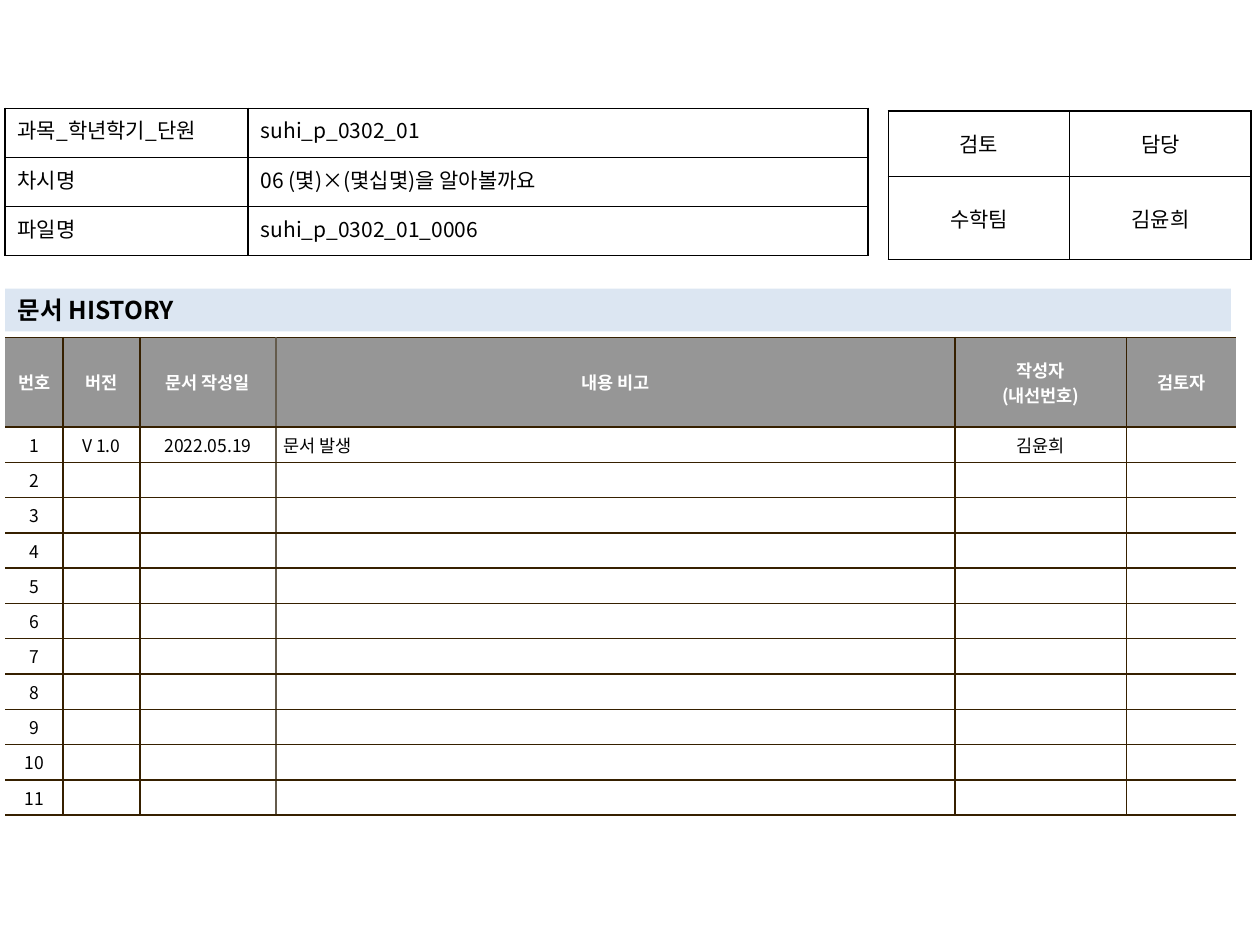
from dataclasses import dataclass

from lxml import etree
from pptx import Presentation
from pptx.dml.color import RGBColor
from pptx.enum.text import MSO_ANCHOR, MSO_AUTO_SIZE, PP_ALIGN
from pptx.oxml.ns import qn
from pptx.util import Inches, Pt

LEFT, CENTER, JUSTIFY = PP_ALIGN.LEFT, PP_ALIGN.CENTER, PP_ALIGN.JUSTIFY
TOP, MIDDLE = MSO_ANCHOR.TOP, MSO_ANCHOR.MIDDLE
NO_FIT = MSO_AUTO_SIZE.NONE
TITLE_ONLY = 5


@dataclass(frozen=True)
class Theme:
    """Colours, font and type sizes of the page."""
    font: str = "Noto Sans CJK KR"
    black: str = "000000"
    white: str = "FFFFFF"
    header: str = "969696"
    band: str = "DCE6F2"
    rule: str = "362000"
    soft_rule: str = "645B4C"
    heading_size: int = 14
    info_size: int = 12
    history_size: int = 10


THEME = Theme()


def format_para(para, size, color, align, bold=False):
    """Set the alignment and font of a whole paragraph."""
    para.alignment = align
    font = para.font
    font.name, font.size, font.bold = THEME.font, Pt(size), bold
    font.color.rgb = RGBColor.from_string(color)
    defaults = para._p.pPr.find(qn("a:defRPr"))
    etree.SubElement(defaults, qn("a:ea"), typeface=THEME.font)
    if not para.runs:
        etree.SubElement(para._p, qn("a:endParaRPr"), sz=str(size * 100))


def set_borders(cell, left, right, top, bottom):
    """Draw one-point cell borders, or none where the colour is None."""
    properties = cell._tc.get_or_add_tcPr()
    for side, color in zip("LRTB", (left, right, top, bottom)):
        line = etree.SubElement(properties, qn(f"a:ln{side}"), w=str(Pt(1)))
        if color is None:
            etree.SubElement(line, qn("a:noFill"))
        else:
            fill = etree.SubElement(line, qn("a:solidFill"))
            etree.SubElement(fill, qn("a:srgbClr"), val=color)


def fill_cell(cell, text, size, align, anchor, margins,
              color=THEME.black, fill=THEME.white, bold=False):
    """Write and format the text, margins and fill of a cell."""
    cell.fill.solid()
    cell.fill.fore_color.rgb = RGBColor.from_string(fill)
    cell.vertical_anchor = anchor
    cell.margin_left = cell.margin_right = Inches(margins[0])
    cell.margin_top = cell.margin_bottom = Inches(margins[1])
    cell.text = text
    for para in cell.text_frame.paragraphs:
        format_para(para, size, color, align, bold)


def add_grid(page, left, top, widths, heights):
    """Add an unbanded table with the given column widths and row heights."""
    table = page.shapes.add_table(
        len(heights), len(widths), Inches(left), Inches(top),
        Inches(sum(widths)), Inches(sum(heights))).table
    table.first_row = table.horz_banding = False
    for column, width in zip(table.columns, widths):
        column.width = Inches(width)
    for row, height in zip(table.rows, heights):
        row.height = Inches(height)
    return table


def add_info_table(page, left, top, widths, heights, rows, aligns, anchor):
    """Add a black-ruled table of document details."""
    table = add_grid(page, left, top, widths, heights)
    for r, texts in enumerate(rows):
        for c, text in enumerate(texts):
            cell = table.cell(r, c)
            set_borders(cell, *[THEME.black] * 4)
            fill_cell(cell, text, THEME.info_size, aligns[c], anchor, (0.1, 0.05))


def add_heading(page, left, top, width, height):
    """Place the title as a tinted band above the history."""
    title = page.shapes.title
    title.left, title.top = Inches(left), Inches(top)
    title.width, title.height = Inches(width), Inches(height)
    title.fill.solid()
    title.fill.fore_color.rgb = RGBColor.from_string(THEME.band)
    frame = title.text_frame
    frame.text = "문서 HISTORY"
    frame.auto_size = NO_FIT
    frame.vertical_anchor = MIDDLE
    format_para(frame.paragraphs[0], THEME.heading_size, THEME.black, LEFT, True)


def add_history(page, left, top):
    """Add the revision table with its header and numbered rows."""
    headers = ["번호", "버전", "문서 작성일", "내용 비고", "작성자\n(내선번호)", "검토자"]
    first = ["1", "V 1.0", "2022.05.19", "문서 발생", "김윤희", ""]
    rows = [headers, first] + [[str(n)] + [""] * 5 for n in range(2, 12)]
    rules = [None, THEME.rule, THEME.rule, THEME.soft_rule, THEME.rule, THEME.rule, None]
    widths = [0.46, 0.61, 1.08, 5.39, 1.36, 0.87]
    table = add_grid(page, left, top, widths, [0.71] + [0.28] * 11)
    for r, texts in enumerate(rows):
        for c, text in enumerate(texts):
            cell = table.cell(r, c)
            set_borders(cell, rules[c], rules[c + 1], THEME.rule, THEME.rule)
            is_header = r == 0
            fill_cell(cell, text, THEME.history_size,
                      LEFT if c == 3 and not is_header else CENTER,
                      MIDDLE, (0.06, 0.04),
                      THEME.white if is_header else THEME.black,
                      THEME.header if is_header else THEME.white, is_header)


def main():
    """Build the document history page."""
    deck = Presentation()
    deck.slide_width, deck.slide_height = Inches(10), Inches(7.5)
    page = deck.slides.add_slide(deck.slide_layouts[TITLE_ONLY])
    add_history(page, 0.04, 2.68)
    add_info_table(page, 7.05, 0.88, [1.44, 1.44], [0.52, 0.66],
                   [["검토", "담당"], ["수학팀", "김윤희"]],
                   [CENTER, CENTER], MIDDLE)
    add_heading(page, 0.04, 2.29, 9.73, 0.34)
    add_info_table(page, 0.04, 0.86, [1.93, 4.92], [0.39] * 3,
                   [["과목_학년학기_단원", "suhi_p_0302_01"],
                    ["차시명", "06 (몇)×(몇십몇)을 알아볼까요"],
                    ["파일명", "suhi_p_0302_01_0006"]],
                   [JUSTIFY, LEFT], TOP)
    deck.save("out.pptx")


if __name__ == "__main__":
    main()
